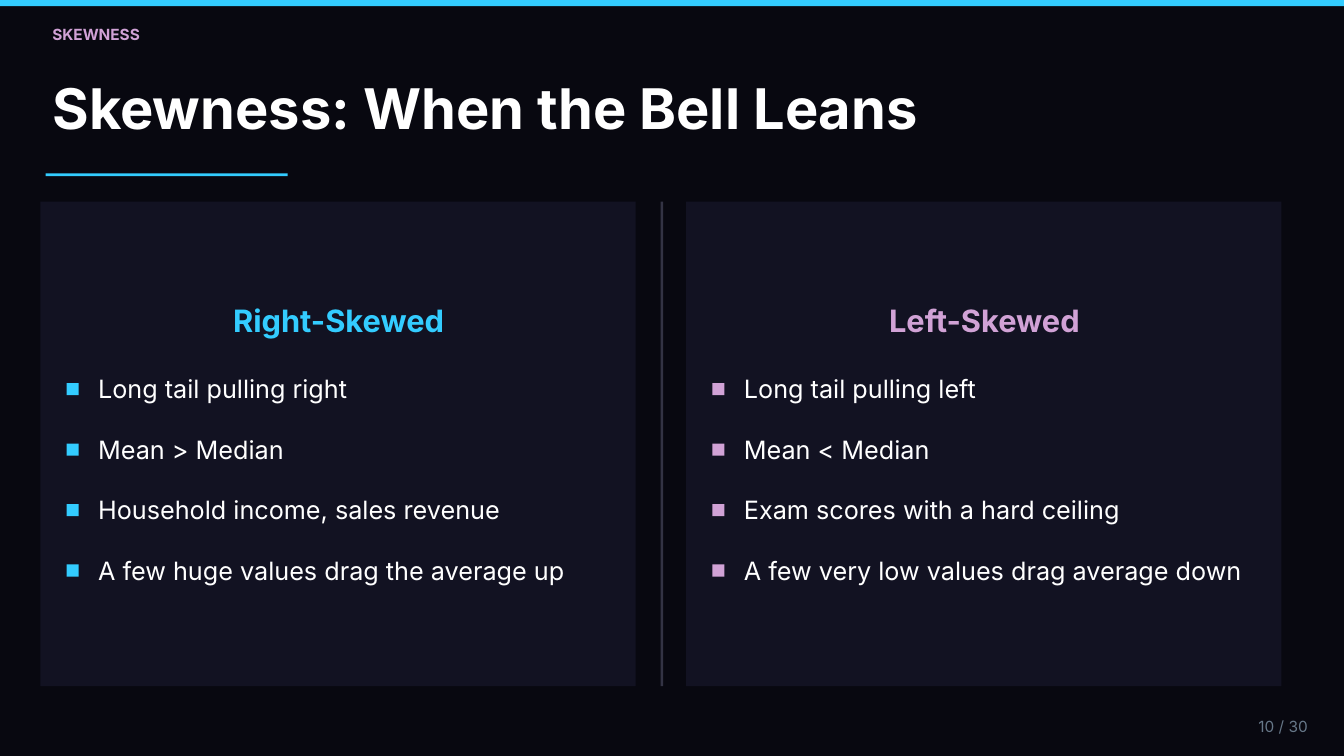
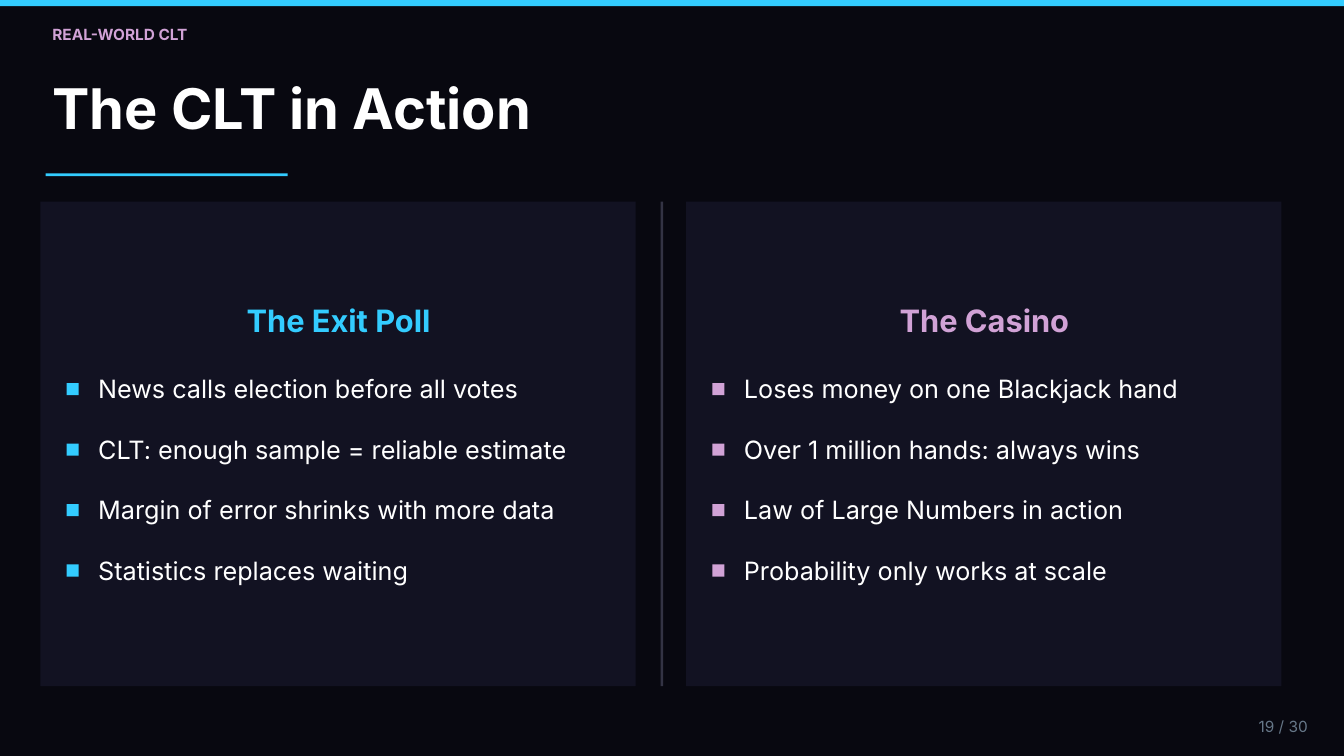
from dataclasses import dataclass
from pptx import Presentation
from pptx.dml.color import RGBColor
from pptx.enum.shapes import MSO_SHAPE
from pptx.enum.text import MSO_ANCHOR, PP_ALIGN
from pptx.util import Inches, Pt

SLIDES = [
    {
        "tag": "SKEWNESS",
        "title": "Skewness: When the Bell Leans",
        "page": 10,
        "cards": [
            ("Right-Skewed", [
                "Long tail pulling right",
                "Mean > Median",
                "Household income, sales revenue",
                "A few huge values drag the average up",
            ]),
            ("Left-Skewed", [
                "Long tail pulling left",
                "Mean < Median",
                "Exam scores with a hard ceiling",
                "A few very low values drag average down",
            ]),
        ],
    },
    {
        "tag": "REAL-WORLD CLT",
        "title": "The CLT in Action",
        "page": 19,
        "cards": [
            ("The Exit Poll", [
                "News calls election before all votes",
                "CLT: enough sample = reliable estimate",
                "Margin of error shrinks with more data",
                "Statistics replaces waiting",
            ]),
            ("The Casino", [
                "Loses money on one Blackjack hand",
                "Over 1 million hands: always wins",
                "Law of Large Numbers in action",
                "Probability only works at scale",
            ]),
        ],
    },
]
TOTAL = 30


@dataclass(frozen=True)
class Theme:
    font: str = "Inter"
    back: str = "080810"
    card: str = "121222"
    split: str = "333344"
    cyan: str = "33CCFF"
    pink: str = "D1A2D6"
    text: str = "FFFFFF"
    mute: str = "667788"
    small: float = 16.5
    body: float = 27
    head: float = 33
    title: float = 60


THEME = Theme()
WIDTH, HEIGHT = 20, 11.25
CARD_X, CARD_Y, CARD_W, CARD_H = 0.6, 3, 8.86, 7.21
CARD_STEP = 9.61
ROW_Y, ROW_STEP = 5.56, 0.9
MARK = 0.18


def add_rect(slide, x, y, w, h, color):
    rect = slide.shapes.add_shape(
        MSO_SHAPE.RECTANGLE, Inches(x), Inches(y), Inches(w), Inches(h))
    rect.shadow.inherit = False
    rect.fill.solid()
    rect.fill.fore_color.rgb = RGBColor.from_string(color)
    rect.line.fill.background()


def set_text(shape, text, size, color, bold=False, align=PP_ALIGN.LEFT):
    frame = shape.text_frame
    frame.word_wrap = True
    frame.vertical_anchor = MSO_ANCHOR.TOP
    frame.margin_left = frame.margin_right = 0
    frame.margin_top = frame.margin_bottom = 0
    para = frame.paragraphs[0]
    para.alignment = align
    para.line_spacing = Pt(size * 1.2)
    para.space_before = Pt(0)
    run = para.add_run()
    run.text = text
    run.font.name = THEME.font
    run.font.size = Pt(size)
    run.font.bold = bold
    run.font.color.rgb = RGBColor.from_string(color)


def add_text(slide, x, y, w, h, *style, **more):
    box = slide.shapes.add_textbox(
        Inches(x), Inches(y), Inches(w), Inches(h))
    set_text(box, *style, **more)


def add_frame(slide, tag, title, page):
    add_rect(slide, 0, 0, WIDTH, 0.09, THEME.cyan)
    add_text(slide, 0.78, 0.37, 11.81, 0.28,
             tag, THEME.small, THEME.pink, bold=True)
    head = slide.shapes.title
    head.left, head.top = Inches(0.78), Inches(1.1)
    head.width, head.height = Inches(17.81), Inches(1)
    set_text(head, title, THEME.title, THEME.text, bold=True)
    add_rect(slide, 0.68, 2.58, 3.6, 0.04, THEME.cyan)
    add_text(slide, 18.01, 10.67, 1.45, 0.28, f"{page} / {TOTAL}",
             THEME.small, THEME.mute, align=PP_ALIGN.RIGHT)


def add_card(slide, x, color, head, rows):
    add_rect(slide, x, CARD_Y, CARD_W, CARD_H, THEME.card)
    add_text(slide, x + 0.41, 4.49, 8.06, 0.55, head, THEME.head, color,
             bold=True, align=PP_ALIGN.CENTER)
    for i, row in enumerate(rows):
        y = ROW_Y + i * ROW_STEP
        add_rect(slide, x + 0.39, y + 0.14, MARK, MARK, color)
        add_text(slide, x + 0.86, y, 7.61, 0.45,
                 row, THEME.body, THEME.text)


def main():
    deck = Presentation()
    deck.slide_width, deck.slide_height = Inches(WIDTH), Inches(HEIGHT)
    fill = deck.slide_master.background.fill
    fill.solid()
    fill.fore_color.rgb = RGBColor.from_string(THEME.back)
    for data in SLIDES:
        slide = deck.slides.add_slide(deck.slide_layouts[5])
        add_frame(slide, data["tag"], data["title"], data["page"])
        add_rect(slide, 9.83, CARD_Y, 0.04, CARD_H, THEME.split)
        for i, (head, rows) in enumerate(data["cards"]):
            color = (THEME.cyan, THEME.pink)[i]
            add_card(slide, CARD_X + i * CARD_STEP, color, head, rows)
    deck.save("out.pptx")


if __name__ == "__main__":
    main()
